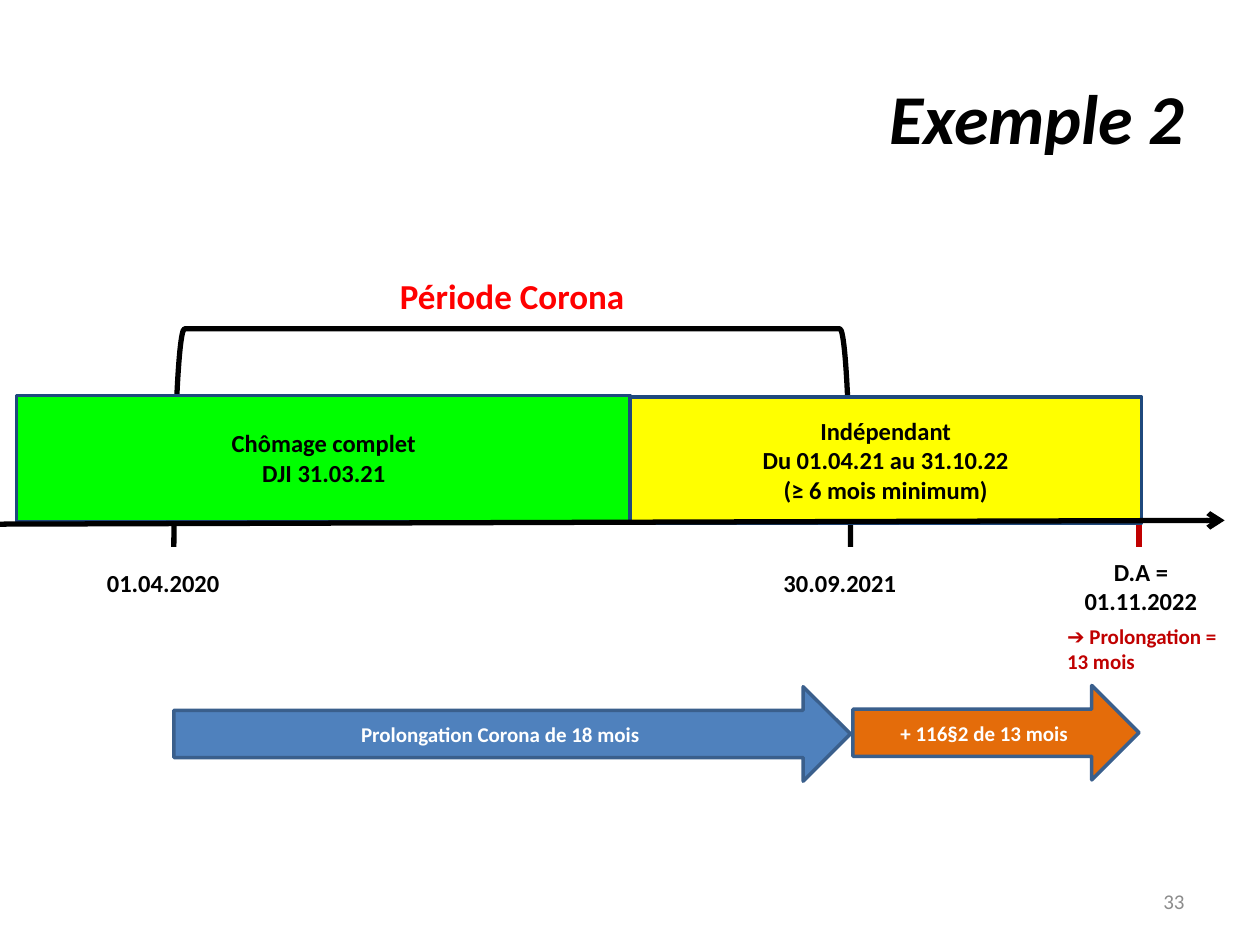
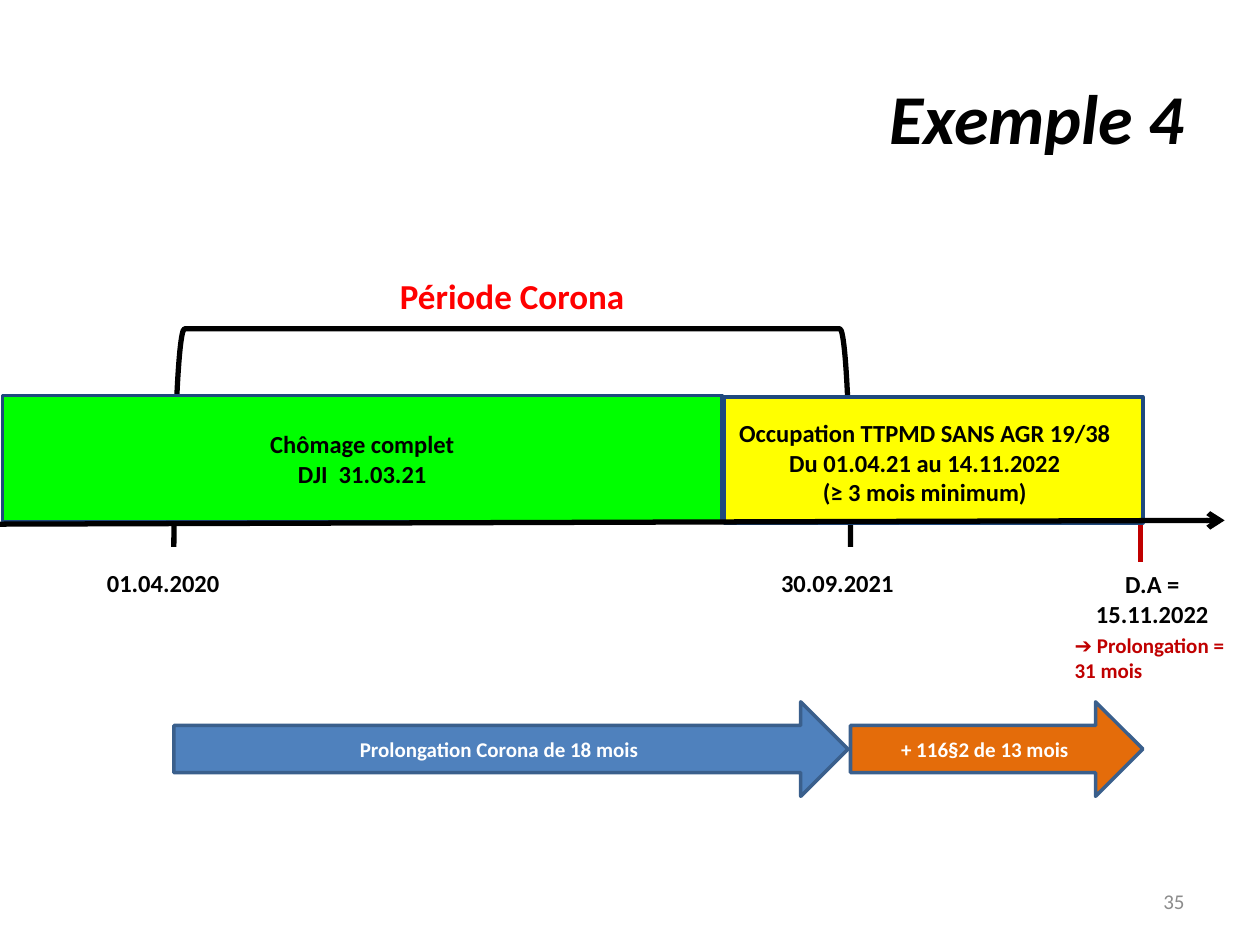
from lxml import etree
from pptx import Presentation
from pptx.dml.color import RGBColor
from pptx.enum.shapes import MSO_CONNECTOR, MSO_SHAPE
from pptx.enum.text import MSO_ANCHOR, PP_ALIGN
from pptx.oxml.ns import qn
from pptx.util import Inches, Pt

RECT, ARROW = MSO_SHAPE.RECTANGLE, MSO_SHAPE.RIGHT_ARROW
BRACKET = MSO_SHAPE.LEFT_BRACKET
STRAIGHT = MSO_CONNECTOR.STRAIGHT
LEFT, CENTER, RIGHT = PP_ALIGN.LEFT, PP_ALIGN.CENTER, PP_ALIGN.RIGHT
TOP, MIDDLE = MSO_ANCHOR.TOP, MSO_ANCHOR.MIDDLE

FONT = "Calibri"
BLACK, WHITE, GREY = "000000", "FFFFFF", "8C8C8C"
RED, DARK_RED = "FF0000", "C00000"
GREEN, YELLOW, NAVY = "00FF00", "FFFF00", "1F497D"
BLUE, ORANGE, ARROW_EDGE = "4F81BD", "E46C0A", "3A5F8C"

EXAMPLES = [
    {
        "title": "Exemple 2",
        "number": "33",
        "unemployed_box": (0.13, 3.14, 4.87, 1),
        "unemployed_text": (1.69, 3.35, 1.76, 0.57),
        "unemployed": ["Chômage complet", "DJI 31.03.21"],
        "work_box": (5, 3.15, 4.06, 1),
        "work_text": (5, 3.15, 4.06, 1),
        "work": ["Indépendant", "Du 01.04.21 au 31.10.22", "(≥ 6 mois minimum)"],
        "request_tick": (9.04, 3.14, 9.04, 4.34),
        "end_date": (6.12, 4.46, 1.13, 0.34),
        "request_text": (8.36, 4.37, 1.39, 0.57),
        "request": "D.A = 01.11.2022",
        "extension_text": (8.37, 4.9, 1.39, 0.5),
        "extension": "➔ Prolongation = 13 mois",
        "corona_arrow": (1.38, 5.45, 5.37, 0.75),
        "extra_arrow": (6.77, 5.44, 2.27, 0.75),
    },
    {
        "title": "Exemple 4",
        "number": "35",
        "unemployed_box": (0.02, 3.14, 5.71, 1),
        "unemployed_text": (0.02, 3.14, 5.71, 1),
        "unemployed": ["Chômage complet", "DJI  31.03.21"],
        "work_box": (5.75, 3.15, 3.32, 1),
        "work_text": (5.65, 3.27, 3.38, 0.81),
        "work": ["Occupation TTPMD SANS AGR 19/38", "Du 01.04.21 au 14.11.2022",
                 "(≥ 3 mois minimum)"],
        "request_tick": (9.05, 3.47, 9.05, 4.46),
        "end_date": (6.1, 4.46, 1.15, 0.34),
        "request_text": (8.45, 4.47, 1.39, 0.57),
        "request": "D.A = 15.11.2022",
        "extension_text": (8.43, 4.97, 1.39, 0.5),
        "extension": "➔ Prolongation = 31 mois",
        "corona_arrow": (1.38, 5.57, 5.35, 0.75),
        "extra_arrow": (6.75, 5.57, 2.32, 0.75),
    },
]


def add_shape(s, kind, at, fill, line, width=2):
    sp = s.shapes.add_shape(kind, *map(Inches, at))
    sp.shadow.inherit = False
    if fill:
        sp.fill.solid()
        sp.fill.fore_color.rgb = RGBColor.from_string(fill)
    else:
        sp.fill.background()
    sp.line.color.rgb = RGBColor.from_string(line)
    sp.line.width = Pt(width)
    return sp


def write(sp, lines, size, color, align=CENTER, anchor=MIDDLE, bold=True, italic=False):
    tf = sp.text_frame
    tf.word_wrap = True
    tf.vertical_anchor = anchor
    for i, line in enumerate(lines):
        p = tf.add_paragraph() if i else tf.paragraphs[0]
        p.alignment = align
        r = p.add_run()
        r.text = line
        r.font.name = FONT
        r.font.size = Pt(size)
        r.font.bold = bold
        r.font.italic = italic
        r.font.color.rgb = RGBColor.from_string(color)


prs = Presentation()
prs.slide_width, prs.slide_height = Inches(10), Inches(7.5)

for ex in EXAMPLES:
    s = prs.slides.add_slide(prs.slide_layouts[5])
    title = s.shapes.title
    title.left, title.top, title.width, title.height = map(Inches, (0.5, 0.3, 9, 1.25))
    write(title, [ex["title"]], 40, BLACK, RIGHT, italic=True)

    # Corona period: its bracket ends stick out below the time axis as ticks
    bracket = add_shape(s, BRACKET, (3.2, 0.79, 1.73, 5.37), None, BLACK, 3)
    bracket.rotation = 90
    bracket.adjustments[0] = 0.049

    # Status blocks, request tick and time axis
    unemployed = add_shape(s, RECT, ex["unemployed_box"], GREEN, NAVY)
    axis = (0, 4.16, 9.72, 4.13)
    for ends, color in [(ex["request_tick"], DARK_RED), (axis, BLACK)]:
        line = s.shapes.add_connector(STRAIGHT, *map(Inches, ends))
        line.line.color.rgb = RGBColor.from_string(color)
        line.line.width = Pt(3)
        if color == DARK_RED:
            work = add_shape(s, RECT, ex["work_box"], YELLOW, NAVY)
        else:
            etree.SubElement(line.line._get_or_add_ln(), qn("a:tailEnd"), type="arrow")
        etree.SubElement(line._element.spPr, qn("a:effectLst"))

    # Block captions sit in the block, or in a text box of their own place
    for name, block in [("unemployed", unemployed), ("work", work)]:
        place = ex[name + "_text"]
        if place == ex[name + "_box"]:
            write(block, ex[name], 14, BLACK)
        else:
            write(s.shapes.add_textbox(*map(Inches, place)), ex[name], 14, BLACK, anchor=TOP)

    # Labels around the axis
    for text, at, size, color, align in [
        ("Période Corona", (2.78, 2.13, 2.57, 0.44), 20, RED, CENTER),
        ("01.04.2020", (0.75, 4.46, 1.13, 0.34), 14, BLACK, LEFT),
        ("30.09.2021", ex["end_date"], 14, BLACK, LEFT),
        (ex["request"], ex["request_text"], 14, BLACK, CENTER),
        (ex["extension"], ex["extension_text"], 12, DARK_RED, LEFT),
    ]:
        write(s.shapes.add_textbox(*map(Inches, at)), [text], size, color, align, TOP)

    # Extension arrows
    for text, at, fill in [
        ("Prolongation Corona de 18 mois", ex["corona_arrow"], BLUE),
        ("+ 116§2 de 13 mois", ex["extra_arrow"], ORANGE),
    ]:
        write(add_shape(s, ARROW, at, fill, ARROW_EDGE), [text], 12, WHITE)

    number = s.shapes.add_textbox(*map(Inches, (7.17, 6.95, 2.33, 0.4)))
    write(number, [ex["number"]], 12, GREY, RIGHT, bold=False)

prs.save("out.pptx")
